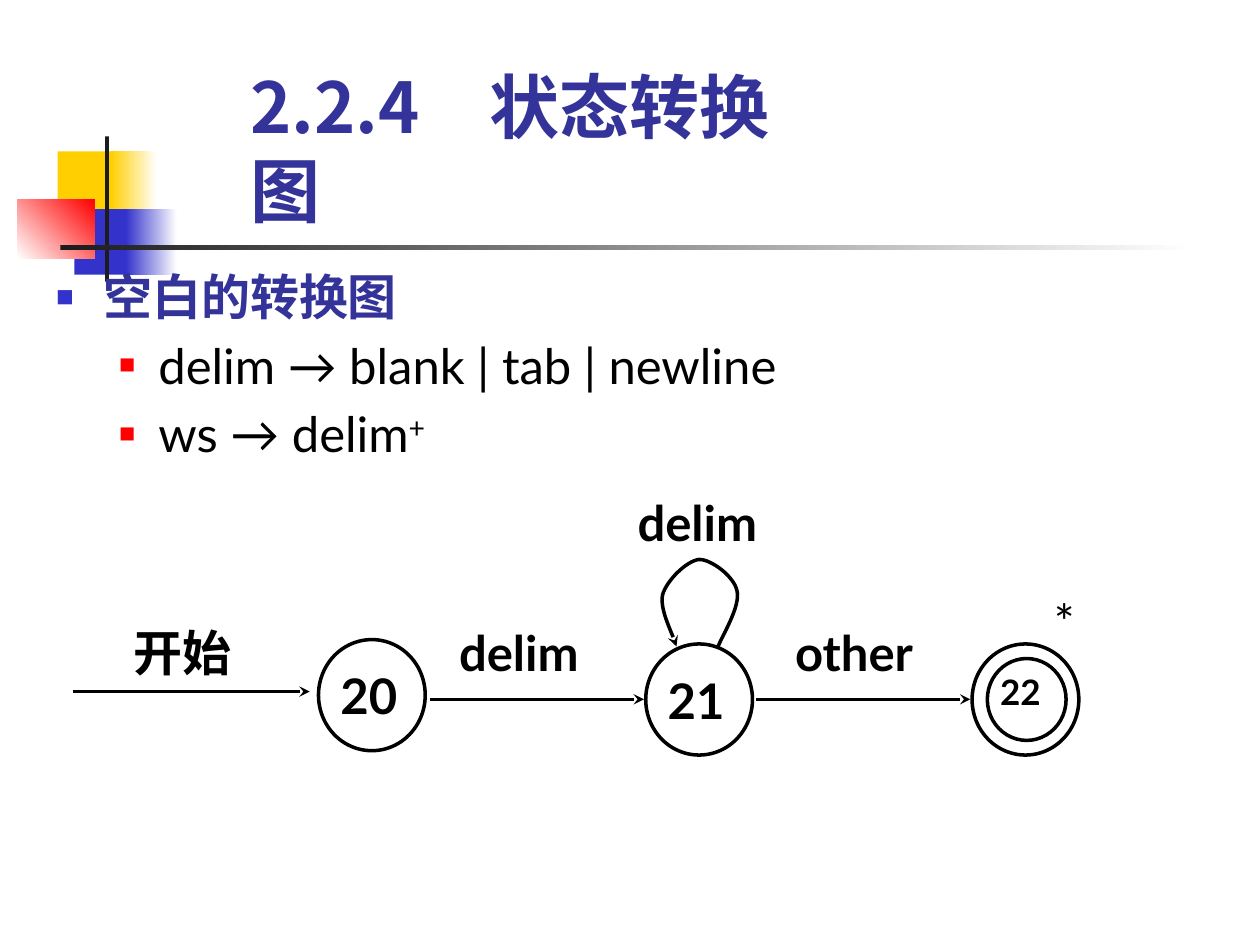
from pptx import Presentation
from pptx.dml.color import RGBColor
from pptx.enum.shapes import MSO_CONNECTOR as CONN, MSO_SHAPE as SHAPE
from pptx.enum.text import MSO_ANCHOR as ANCHOR, PP_ALIGN as ALIGN
from pptx.oxml.ns import qn
from pptx.oxml.xmlchemy import OxmlElement
from pptx.util import Pt

LATIN, CJK = "Lato", "Noto Sans CJK JP"
BLACK, NAVY, BLUE, RED = "000000", "333399", "3333CC", "FF0000"
YELLOW, DARK, WHITE = "FFCF01", "1C1C1C", "FFFFFF"


def rgb(value):
    return RGBColor.from_string(value)


def sub(parent, tag, **attrs):
    el = OxmlElement(tag)
    for name, value in attrs.items():
        el.set(name, str(value))
    parent.append(el)
    return el


def bezier(p0, p1, p2, p3, steps=16):
    for i in range(1, steps + 1):
        t = i / steps
        u = 1 - t
        yield tuple(u**3 * a + 3 * u * u * t * b + 3 * u * t * t * c + t**3 * d
                    for a, b, c, d in zip(p0, p1, p2, p3))


class Deck:
    line_width = Pt(2)

    def __init__(self, prs):
        self.slide = prs.slides.add_slide(prs.slide_layouts[6])
        self.shapes = self.slide.shapes

    def font(self, p, size, face=LATIN, color=BLACK, bold=True):
        f = p.font
        f.size, f.name, f.bold = Pt(size), face, bold
        f.color.rgb = rgb(color)
        sub(p._p.pPr.find(qn("a:defRPr")), "a:ea", typeface=face)

    def frame(self, sp, insets, anchor=ANCHOR.TOP):
        tf = sp.text_frame
        tf.word_wrap = True
        tf.vertical_anchor = anchor
        tf.margin_left, tf.margin_top, tf.margin_right, tf.margin_bottom = map(Pt, insets)
        return tf

    def box(self, x, y, w, h, insets=(7.2, 3.6, 7.2, 3.6), anchor=ANCHOR.TOP):
        return self.frame(self.shapes.add_textbox(Pt(x), Pt(y), Pt(w), Pt(h)), insets, anchor)

    def block(self, x, y, w, h, *colors, angle=0):
        sp = self.shapes.add_shape(SHAPE.RECTANGLE, Pt(x), Pt(y), Pt(w), Pt(h))
        sp.shadow.inherit = False
        sp.line.fill.background()
        if len(colors) == 1:
            sp.fill.solid()
            sp.fill.fore_color.rgb = rgb(colors[0])
            return
        sp.fill.gradient()
        sp.fill.gradient_angle = angle
        for stop, color, pos in zip(sp.fill.gradient_stops, colors, (0, 1)):
            stop.color.rgb = rgb(color)
            stop.position = pos

    def title(self, text, x, y, w, h):
        p = self.box(x, y, w, h, anchor=ANCHOR.BOTTOM).paragraphs[0]
        p.text = text
        p.line_spacing = Pt(48)
        self.font(p, 40, CJK, NAVY)

    def bullet(self, p, color, size, left, hang, level):
        pPr = p._p.get_or_add_pPr()
        pPr.set("marL", str(Pt(left)))
        pPr.set("indent", str(-Pt(hang)))
        p.level = level
        sub(sub(pPr, "a:buClr"), "a:srgbClr", val=color)
        sub(pPr, "a:buSzPct", val=size * 1000)
        sub(pPr, "a:buFont", typeface="Arial")
        sub(pPr, "a:buChar", char="■")

    def body(self, heading, items, x, y, w, h):
        tf = self.box(x, y, w, h, anchor=ANCHOR.BOTTOM)
        p = tf.paragraphs[0]
        p.text = heading
        p.line_spacing = Pt(34)
        self.bullet(p, BLUE, 60, 27, 27, 0)
        self.font(p, 28, CJK, NAVY)
        for text, power in items:
            p = tf.add_paragraph()
            p.space_before = Pt(5.6)
            p.add_run().text = text
            if power:
                r = p.add_run()
                r.text = power
                r.font._element.set("baseline", "30000")
            self.bullet(p, RED, 55, 58.5, 22.5, 1)
            self.font(p, 28, bold=False)

    def label(self, text, x, y, w, h=60, top=2.2, bold=True):
        p = self.box(x, y, w, h, (4.3, top, 4.3, top)).paragraphs[0]
        p.text = text
        p.alignment = ALIGN.JUSTIFY
        self.font(p, 28, bold=bold)

    def state(self, x, y, w, h, text="", size=28, insets=(3.6, 3.6, 1.4, 3.6),
              anchor=ANCHOR.MIDDLE, align=ALIGN.LEFT):
        sp = self.shapes.add_shape(SHAPE.OVAL, Pt(x), Pt(y), Pt(w), Pt(h))
        sp.shadow.inherit = False
        sp.fill.background()
        self.stroke(sp)
        if text:
            p = self.frame(sp, insets, anchor).paragraphs[0]
            p.text = text
            p.alignment = align
            self.font(p, size)

    def stroke(self, sp, arrow=False):
        sp.line.color.rgb = rgb(BLACK)
        sp.line.width = self.line_width
        if arrow:
            sub(sp.line._get_or_add_ln(), "a:tailEnd", type="stealth")

    def arrow(self, x1, x2, y):
        cn = self.shapes.add_connector(CONN.STRAIGHT, Pt(x1), Pt(y), Pt(x2), Pt(y))
        self.stroke(cn, arrow=True)
        sub(cn._element.spPr, "a:effectLst")

    def loop(self, start, *curves):
        points, last = [], start
        for curve in curves:
            points += bezier(last, *curve)
            last = curve[-1]
        fb = self.shapes.build_freeform(Pt(start[0]), Pt(start[1]))
        fb.add_line_segments([(Pt(x), Pt(y)) for x, y in points], close=False)
        sp = fb.convert_to_shape()
        sp.shadow.inherit = False
        sp.fill.background()
        self.stroke(sp, arrow=True)


def main():
    prs = Presentation()
    prs.slide_width, prs.slide_height = Pt(720), Pt(540)
    s = Deck(prs)

    s.block(33, 86.5, 34.5, 37.5, YELLOW)
    s.block(63.5, 86.5, 26, 37.5, YELLOW, WHITE)
    s.block(42.5, 119.5, 33, 37.5, BLUE)
    s.block(72, 119.5, 29, 37.5, BLUE, WHITE)
    s.block(10, 114, 44, 33.5, WHITE, RED, angle=45)
    s.block(60, 78, 2.3, 83, DARK)
    s.block(34.5, 140.2, 648, 2.5, DARK, WHITE)

    s.title("2.2.4　状态转换图", 136, 64, 342, 72)
    s.body("空白的转换图", [("delim → blank | tab | newline", ""), ("ws → delim", "+")],
           25, 126, 678, 142)

    s.state(182, 365.5, 61, 63.5, "20")
    s.state(369, 368, 61, 63.5, "21")
    s.state(555.5, 368, 61, 63.5)
    s.state(564.2, 376.3, 45, 46.8, "22", 20, (0.7, 0, 0.7, 0), ANCHOR.TOP, ALIGN.JUSTIFY)

    for x1, x2, y in [(42, 177, 395.2), (245.5, 368, 399.6), (432, 554.5, 399.6)]:
        s.arrow(x1, x2, y)
    s.loop((410.4, 369.4),
           ((412.6, 363.6), (423.4, 346.3), (421.2, 337.7)),
           ((419.8, 329.8), (406.8, 319.7), (399.6, 319.7)),
           ((392.4, 320.4), (380.9, 331.9), (378.7, 339.8)),
           ((376.6, 348.5), (385.2, 363.6), (386.6, 369.4)))

    for text, x, w in [("开始", 72, 99), ("delim", 258, 129), ("other", 450, 129)]:
        s.label(text, x, 353.5, w)
    s.label("*", 598, 336, 45, bold=False)
    s.label("delim", 360, 281.5, 109, 42.5, top=0)

    prs.save("out.pptx")


if __name__ == "__main__":
    main()
